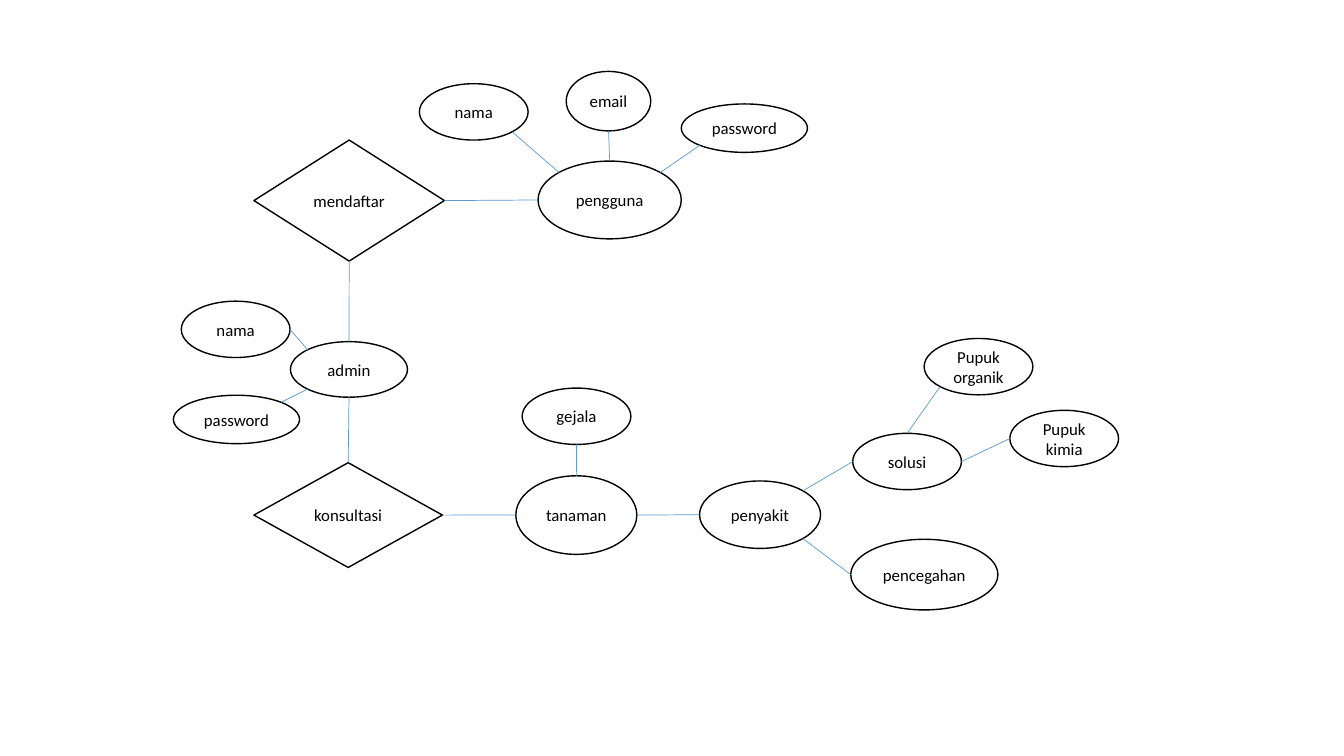
from math import sqrt
from lxml.etree import SubElement
from pptx import Presentation
from pptx.dml.color import RGBColor as Rgb
from pptx.enum.shapes import MSO_CONNECTOR as Conn, MSO_SHAPE as Kind
from pptx.enum.text import MSO_ANCHOR as Anchor, PP_ALIGN as Align
from pptx.oxml.ns import qn
from pptx.util import Cm, Pt

INK = {"paper": "FFFFFF", "edge": "000000", "text": "000000", "link": "5B9BD5"}
FONT = {"name": "Calibri", "size": Pt(12)}
OVAL = (2.74, 1.42)
PASS = (3.18, 1.22)
DIAG = 1 / sqrt(2)
SITES = {
    "n": (0, -1), "s": (0, 1), "w": (-1, 0), "e": (1, 0),
    "nw": (-DIAG, -DIAG), "ne": (DIAG, -DIAG),
    "sw": (-DIAG, DIAG), "se": (DIAG, DIAG),
}


def color(name):
    return Rgb.from_string(INK[name])


def style(item, values):
    for key, value in values.items():
        setattr(item, key, value)


def node(slide, box, text, x, y, size, kind=Kind.OVAL):
    left, top = box
    shape = slide.shapes.add_shape(kind, Cm(left + x), Cm(top + y), *map(Cm, size))
    shape.shadow.inherit = False
    shape.fill.solid()
    shape.fill.fore_color.rgb = color("paper")
    shape.line.color.rgb = color("edge")
    shape.line.width = Pt(1)
    frame = shape.text_frame
    style(frame, {"word_wrap": True, "vertical_anchor": Anchor.MIDDLE})
    para = frame.paragraphs[0]
    para.alignment = Align.CENTER
    run = para.add_run()
    run.text = text
    style(run.font, FONT)
    run.font.color.rgb = color("text")
    return shape


def point(shape, site):
    x, y = SITES[site]
    return (round(shape.left + shape.width * (1 + x) / 2),
            round(shape.top + shape.height * (1 + y) / 2))


def link(slide, start, out, end, into):
    line = slide.shapes.add_connector(
        Conn.STRAIGHT, *point(start, out), *point(end, into))
    line.line.color.rgb = color("link")
    line.line.width = Pt(0.5)
    SubElement(line.element.spPr, qn("a:effectLst"))


def user(slide, box):
    join = node(slide, box, "mendaftar", 0, 1.73, (4.8, 3.05), Kind.DIAMOND)
    main = node(slide, box, "pengguna", 7.16, 2.26, (3.61, 1.96))
    name = node(slide, box, "nama", 4.17, 0.31, OVAL)
    mail = node(slide, box, "email", 7.87, 0, (2.13, 1.5))
    word = node(slide, box, "password", 10.77, 0.82, PASS)
    link(slide, join, "e", main, "w")
    link(slide, name, "se", main, "nw")
    link(slide, mail, "s", main, "n")
    link(slide, word, "sw", main, "ne")
    return join


def admin(slide, box):
    name = node(slide, box, "nama", 0.2, 0, OVAL)
    main = node(slide, box, "admin", 2.95, 1.02, (2.95, 1.4))
    word = node(slide, box, "password", 0, 2.37, PASS)
    ask = node(slide, box, "konsultasi", 2.03, 4.07, (4.75, 2.64), Kind.DIAMOND)
    link(slide, name, "e", main, "nw")
    link(slide, word, "ne", main, "sw")
    link(slide, ask, "n", main, "s")
    return main, ask


def plant(slide, box):
    sign = node(slide, box, "gejala", 0.16, 0, OVAL)
    main = node(slide, box, "tanaman", 0, 2.21, (3.05, 1.98))
    ill = node(slide, box, "penyakit", 4.63, 2.34, (3.05, 1.7))
    link(slide, main, "n", sign, "s")
    link(slide, ill, "w", main, "e")
    return main, ill


def cure(slide, box):
    main = node(slide, box, "solusi", 0.05, 2.39, OVAL)
    guard = node(slide, box, "pencegahan", 0, 5.06, (3.71, 1.78))
    green = node(slide, box, "Pupuk organik", 1.85, 0, OVAL)
    chem = node(slide, box, "Pupuk kimia", 4.01, 1.81, OVAL)
    link(slide, main, "n", green, "sw")
    link(slide, chem, "w", main, "e")
    return main, guard


def build():
    deck = Presentation()
    style(deck, {"slide_width": Cm(33.87), "slide_height": Cm(19.05)})
    slide = deck.slides.add_slide(deck.slide_layouts[6])
    join = user(slide, (6.4, 1.8))
    boss, ask = admin(slide, (4.37, 7.59))
    crop, ill = plant(slide, (13, 9.78))
    fix, guard = cure(slide, (21.44, 8.53))
    link(slide, join, "s", boss, "n")
    link(slide, ask, "e", crop, "w")
    link(slide, ill, "ne", fix, "w")
    link(slide, ill, "se", guard, "w")
    deck.save("out.pptx")


build()
